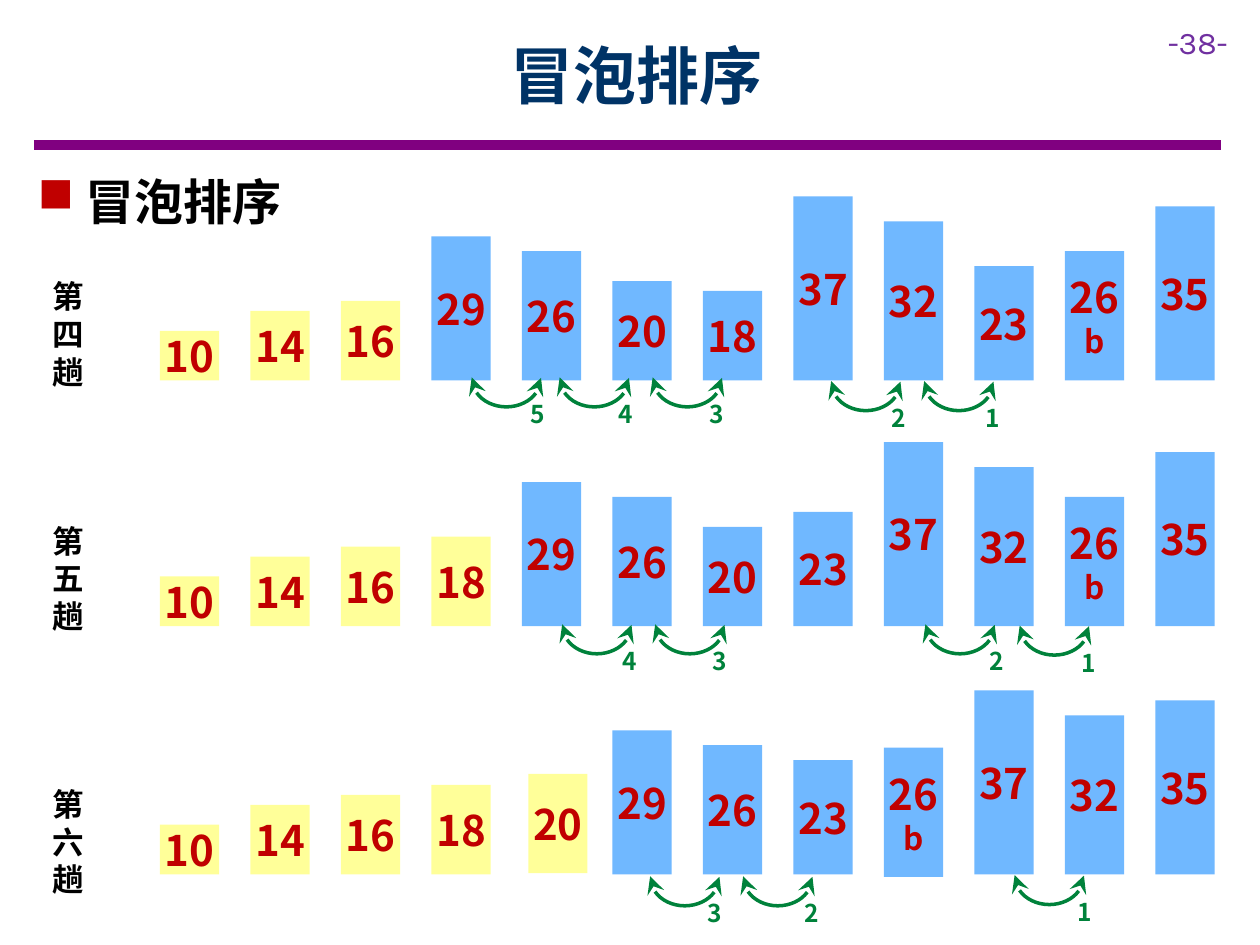
from lxml.etree import SubElement
from pptx import Presentation
from pptx.dml.color import RGBColor
from pptx.enum.shapes import MSO_CONNECTOR as Connector, MSO_SHAPE as Shape
from pptx.enum.text import MSO_ANCHOR as Anchor, PP_ALIGN as Align
from pptx.oxml.ns import qn
from pptx.util import Inches, Pt

COLORS = {"title": "003366", "rule": "800080", "page": "7030A0", "text": "000000",
          "number": "C00000", "sorted": "FFFF99", "unsorted": "70B8FF", "swap": "00823B"}
FONT, PAGE_FONT = "Noto Sans CJK SC", "Karla"
TITLE = "冒泡排序"

# Each swap: label, column left of it, arc shift, label shift from arc, drop below baseline
PASSES = [
    {"name": "第四趟", "base": 3.02, "label_top": 2.15, "sorted": 3,
     "bars": "10 14 16 29 26 20 18 37 32 23 26b 35",
     "swaps": [("1", 8, 0, 0.27, 0.01), ("2", 7, -0.02, 0.26, 0.01),
               ("3", 5, 0, 0.23, -0.02), ("4", 4, -0.02, 0.25, -0.02),
               ("5", 3, 0, 0.25, -0.02)]},
    {"name": "第五趟", "base": 4.97, "label_top": 4.09, "sorted": 4,
     "bars": "10 14 16 18 29 26 20 23 37 32 26b 35",
     "swaps": [("1", 9, 0.04, 0.27, 0), ("2", 8, 0.01, 0.29, -0.01),
               ("3", 5, 0.02, 0.24, -0.01), ("4", 4, 0, 0.26, -0.01)]},
    {"name": "第六趟", "base": 6.94, "label_top": 6.18, "sorted": 5,
     "bars": "10 14 16 18 20 29 26 23 26b 37 32 35",
     "nudges": {"20": (0.05, -0.01), "26b": (0, 0.02)},
     "swaps": [("1", 9, 0, 0.28, 0.01), ("2", 6, 0, 0.27, 0.02),
               ("3", 5, -0.02, 0.24, 0.02)]},
]

# Bar grid, in inches
FIRST_LEFT, LAST_LEFT, BAR_WIDTH = 1.27, 9.17, 0.47
PITCH = (LAST_LEFT - FIRST_LEFT) / 11
UNIT_HEIGHT = 1.46 / 37
ARC_WIDTH, ARC_HEIGHT = 0.46, 0.55
LABEL_WIDTH, LABEL_HEIGHT, LABEL_GAP = 0.32, 0.34, 0.12


def rgb(name):
    return RGBColor.from_string(COLORS[name])


def inches(*lengths):
    return [Inches(length) for length in lengths]


def write(para, text, size=18, color="text", font=FONT, bold=True, align=None):
    para.alignment = align
    span = para.add_run()
    span.text = text
    span.font.size, span.font.bold, span.font.name = Pt(size), bold, font
    span.font.color.rgb = rgb(color)
    SubElement(span.font._element, qn("a:ea"), typeface=font)


def add_text(page, text, at, wrap=True, after=0, **style):
    box = page.shapes.add_textbox(*inches(*at))
    box.text_frame.word_wrap = wrap
    para = box.text_frame.paragraphs[0]
    para.space_after = Pt(after)
    write(para, text, **style)
    return para


def add_bar(page, name, left, base, fill):
    digits, suffix = name[:2], name[2:]
    height = int(digits) * UNIT_HEIGHT
    bar = page.shapes.add_shape(
        Shape.RECTANGLE, *inches(left, base - height, BAR_WIDTH, height))
    bar.shadow.inherit = False
    bar.fill.solid()
    bar.fill.fore_color.rgb = rgb(fill)
    bar.line.fill.background()
    frame = bar.text_frame
    frame.margin_left = frame.margin_right = 0
    frame.margin_top = frame.margin_bottom = Inches(0.1)
    frame.vertical_anchor = Anchor.MIDDLE
    write(frame.paragraphs[0], digits, size=24, color="number", align=Align.CENTER)
    if suffix:
        write(frame.add_paragraph(), suffix, color="number", align=Align.CENTER)


def add_swap(page, label, center, base, label_shift):
    arc = page.shapes.add_shape(Shape.ARC, *inches(
        center - ARC_WIDTH / 2, base - ARC_HEIGHT / 2, ARC_WIDTH, ARC_HEIGHT))
    arc.rotation = 90
    arc.adjustments[0], arc.adjustments[1] = 162, 54.597
    arc.shadow.inherit = False
    arc.fill.background()
    arc.line.color.rgb = rgb("swap")
    arc.line.width = Pt(2)
    line = arc._element.spPr.find(qn("a:ln"))
    for end in ("a:headEnd", "a:tailEnd"):
        SubElement(line, qn(end), type="stealth", w="lg", len="lg")
    add_text(page, label, (center + label_shift - LABEL_WIDTH / 2, base + LABEL_GAP,
                           LABEL_WIDTH, LABEL_HEIGHT),
             wrap=False, size=14, color="swap", align=Align.CENTER)


def main():
    deck = Presentation()
    deck.slide_width, deck.slide_height = inches(10, 7.5)
    page = deck.slides.add_slide(deck.slide_layouts[5])

    # Heading, rule and page number
    title = page.shapes.title
    title.left, title.top, title.width, title.height = inches(0.9, 0.09, 8.31, 1)
    title.text_frame.vertical_anchor = Anchor.MIDDLE
    write(title.text_frame.paragraphs[0], TITLE, size=36, color="title", align=Align.CENTER)
    rule = page.shapes.add_connector(Connector.STRAIGHT, *inches(0.27, 1.15, 9.69, 1.15))
    rule.line.color.rgb, rule.line.width = rgb("rule"), Pt(6)
    SubElement(rule._element.spPr, qn("a:effectLst"))
    add_text(page, "-38-", (9.17, 0.13, 0.83, 0.4), color="page", font=PAGE_FONT, bold=False)

    # Bulleted topic
    topic = add_text(page, TITLE, (0.2, 1.31, 9.57, 0.57), size=28, after=6)
    props = topic._p.get_or_add_pPr()
    props.set("marL", str(Inches(0.38)))
    props.set("indent", str(-Inches(0.38)))
    bullet_color = SubElement(props, qn("a:buClr"))
    SubElement(bullet_color, qn("a:srgbClr"), val=COLORS["number"])
    SubElement(props, qn("a:buChar"), char="■")

    # Sorting passes
    for step in PASSES:
        base = step["base"]
        add_text(page, step["name"], (0.32, step["label_top"], 0.52, 1.01), after=6)
        for column, name in enumerate(step["bars"].split()):
            across, down = step.get("nudges", {}).get(name, (0, 0))
            fill = "sorted" if column < step["sorted"] else "unsorted"
            add_bar(page, name, FIRST_LEFT + column * PITCH + across, base + down, fill)
        for label, column, arc_shift, label_shift, drop in step["swaps"]:
            center = FIRST_LEFT + (column + 0.5) * PITCH + BAR_WIDTH / 2 + arc_shift
            add_swap(page, label, center, base + drop, label_shift)

    deck.save("out.pptx")


if __name__ == "__main__":
    main()
